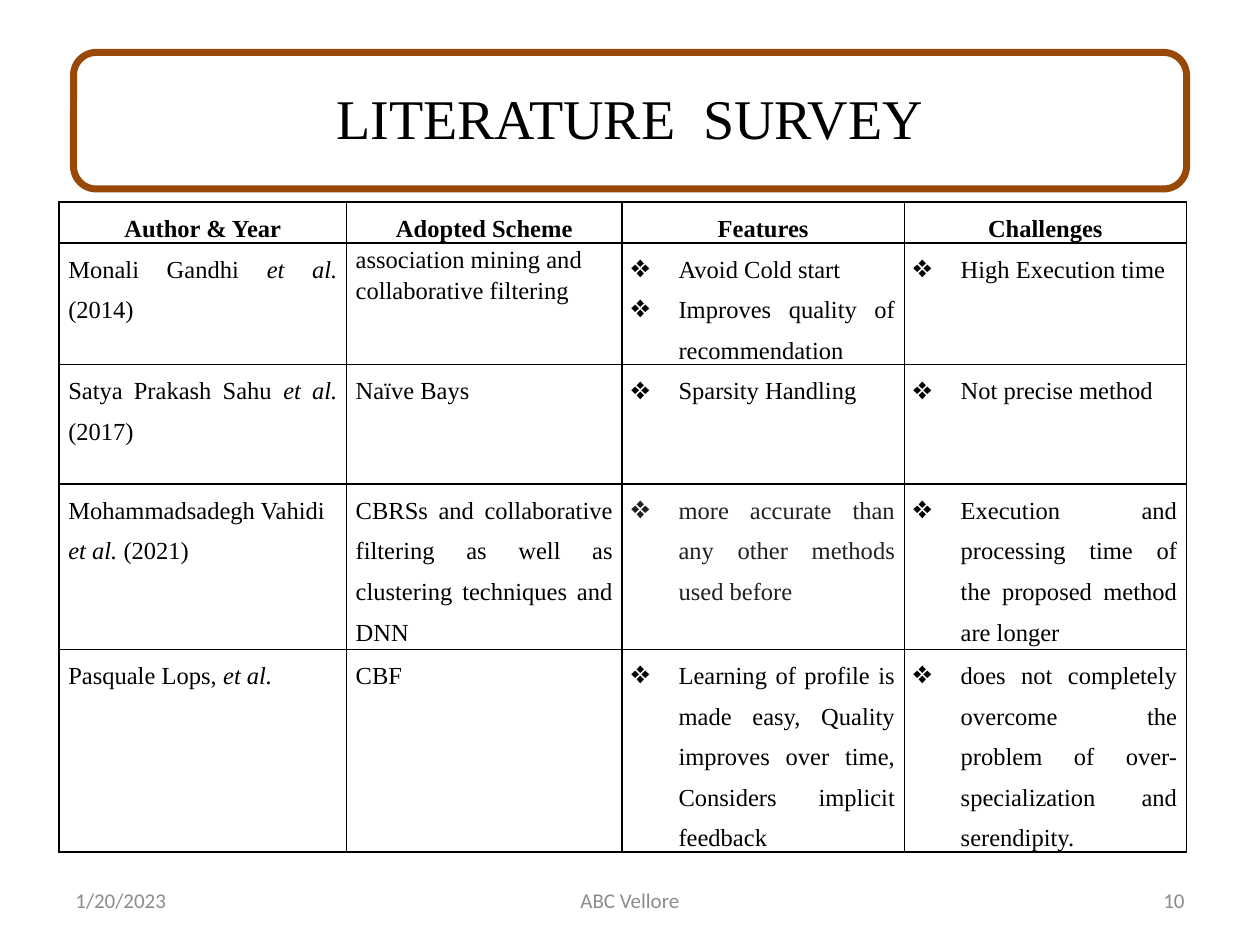
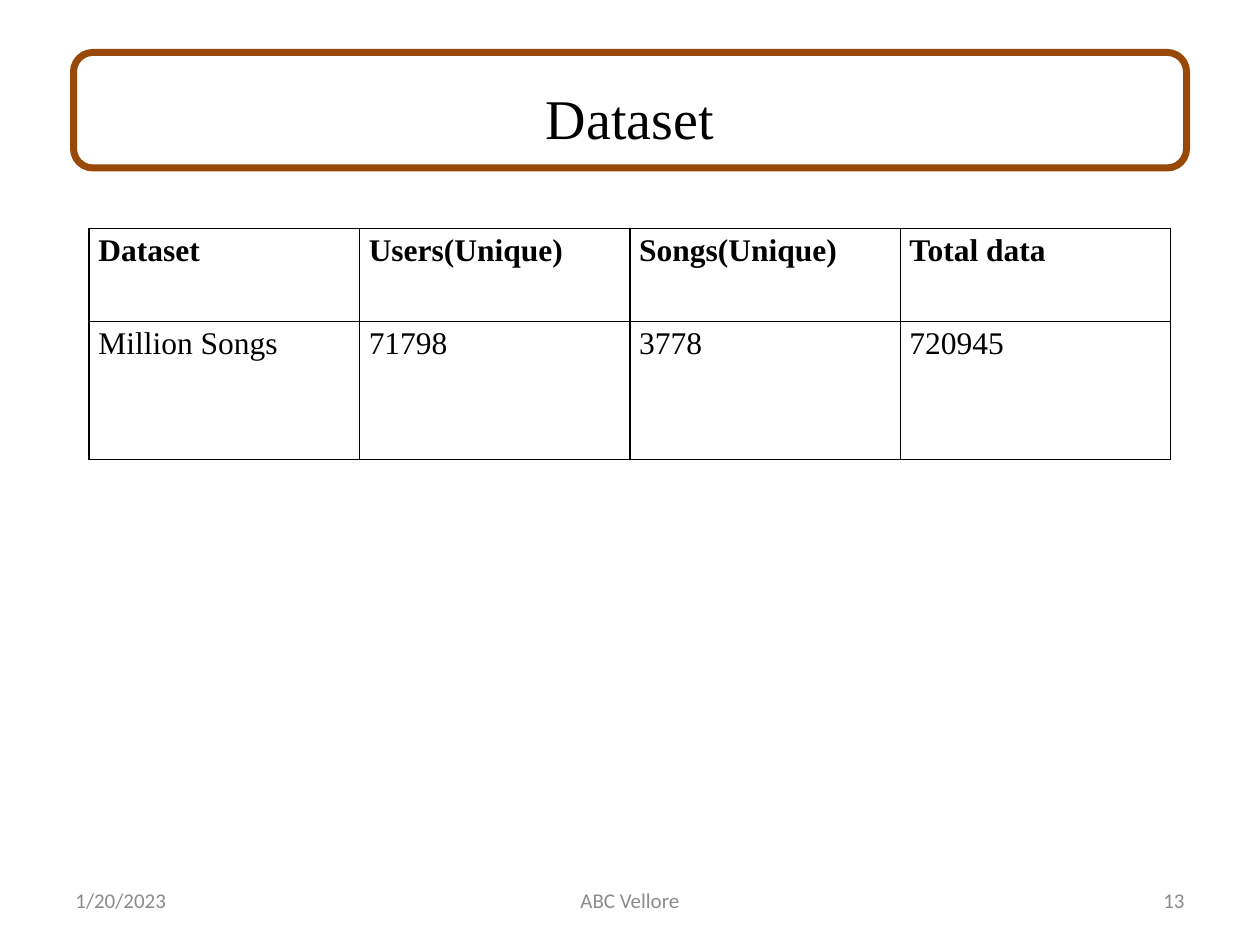
from dataclasses import dataclass

from lxml import etree
from pptx import Presentation
from pptx.dml.color import RGBColor
from pptx.enum.shapes import MSO_SHAPE
from pptx.enum.text import MSO_ANCHOR, PP_ALIGN
from pptx.oxml.ns import qn
from pptx.util import Emu, Pt

EMU_PER_PX = 9525
LEFT, CENTER, RIGHT, JUSTIFY = PP_ALIGN.LEFT, PP_ALIGN.CENTER, PP_ALIGN.RIGHT, PP_ALIGN.JUSTIFY
MIDDLE = MSO_ANCHOR.MIDDLE
ROUNDED_FRAME = MSO_SHAPE.FLOWCHART_ALTERNATE_PROCESS
TITLE_ONLY_LAYOUT = 5

SERIF, SANS = "Times New Roman", "Calibri"
BLACK, WHITE, BROWN, GRAY, CHARCOAL = "000000", "FFFFFF", "984807", "8C8C8C", "202124"
BULLET = "❖"
BULLET_SCALE = "130000"
BULLET_INDENT = 36
CELL_MARGIN = 7
WIDE_SPACING = Pt(23.2)
TIGHT_SPACING = 1.15
CITATION = "et al."


def px(length: int) -> Emu:
    return Emu(length * EMU_PER_PX)


def color(value: str) -> RGBColor:
    return RGBColor.from_string(value)


@dataclass(frozen=True)
class Box:
    left: int
    top: int
    width: int
    height: int

    def emu(self) -> tuple:
        return px(self.left), px(self.top), px(self.width), px(self.height)


@dataclass(frozen=True)
class TextStyle:
    font: str
    size: int
    color: str = BLACK
    bold: bool = False


@dataclass(frozen=True)
class Cell:
    paragraphs: tuple
    style: TextStyle
    align: PP_ALIGN = JUSTIFY
    spacing: float = WIDE_SPACING
    bulleted: bool = False


@dataclass(frozen=True)
class TableSpec:
    left: int
    top: int
    columns: tuple
    rows: tuple
    cells: list


@dataclass(frozen=True)
class FooterPart:
    box: Box
    align: PP_ALIGN


TITLE_BOX = Box(48, 29, 864, 120)
TITLE_STYLE = TextStyle(SERIF, 32)
FOOTER_STYLE = TextStyle(SANS, 12, GRAY)
FOOTER_PARTS = (
    FooterPart(Box(48, 667, 224, 38), LEFT),
    FooterPart(Box(328, 667, 304, 38), CENTER),
    FooterPart(Box(688, 667, 224, 38), RIGHT),
)
FOOTER_DATE, FOOTER_NAME = "1/20/2023", "ABC Vellore"
SURVEY_STYLE = TextStyle(SERIF, 14)
SURVEY_HEADER_STYLE = TextStyle(SERIF, 14, bold=True)
DATASET_STYLE = TextStyle(SERIF, 18)
DATASET_HEADER_STYLE = TextStyle(SERIF, 18, bold=True)


def add_run(paragraph, text: str, style: TextStyle, italic: bool = False) -> None:
    run = paragraph.add_run()
    run.text = text
    run.font.name = style.font
    run.font.size = Pt(style.size)
    run.font.bold = style.bold
    run.font.italic = italic
    run.font.color.rgb = color(style.color)


def add_title(slide, text: str, frame_height: int) -> None:
    title = slide.shapes.title
    title.left, title.top, title.width, title.height = TITLE_BOX.emu()
    title.text_frame.vertical_anchor = MIDDLE
    paragraph = title.text_frame.paragraphs[0]
    paragraph.alignment = CENTER
    add_run(paragraph, text, TITLE_STYLE)
    frame = slide.shapes.add_shape(ROUNDED_FRAME, *Box(56, 40, 848, frame_height).emu())
    frame.shadow.inherit = False
    frame.fill.background()
    frame.line.color.rgb = color(BROWN)
    frame.line.width = Pt(4)


def add_footer(slide, number: int) -> None:
    for part, text in zip(FOOTER_PARTS, (FOOTER_DATE, FOOTER_NAME, str(number))):
        text_frame = slide.shapes.add_textbox(*part.box.emu()).text_frame
        text_frame.word_wrap = True
        text_frame.vertical_anchor = MIDDLE
        paragraph = text_frame.paragraphs[0]
        paragraph.alignment = part.align
        add_run(paragraph, text, FOOTER_STYLE)


def add_bullet(paragraph) -> None:
    properties = paragraph._p.get_or_add_pPr()
    properties.set("marL", str(px(BULLET_INDENT)))
    properties.set("indent", str(px(-BULLET_INDENT)))
    etree.SubElement(properties, qn("a:buSzPct")).set("val", BULLET_SCALE)
    etree.SubElement(properties, qn("a:buChar")).set("char", BULLET)


def add_borders(cell) -> None:
    properties = cell._tc.get_or_add_tcPr()
    for index, side in enumerate(("a:lnL", "a:lnR", "a:lnT", "a:lnB")):
        line = etree.Element(qn(side), w=str(Pt(1)))
        fill = etree.SubElement(line, qn("a:solidFill"))
        etree.SubElement(fill, qn("a:srgbClr")).set("val", BLACK)
        properties.insert(index, line)


def fill_cell(cell, content: Cell) -> None:
    cell.margin_left = cell.margin_right = px(CELL_MARGIN)
    cell.margin_top = cell.margin_bottom = 0
    cell.fill.solid()
    cell.fill.fore_color.rgb = color(WHITE)
    add_borders(cell)
    text_frame = cell.text_frame
    for index, runs in enumerate(content.paragraphs):
        paragraph = text_frame.add_paragraph() if index else text_frame.paragraphs[0]
        paragraph.alignment = content.align
        paragraph.line_spacing = content.spacing
        if content.bulleted:
            add_bullet(paragraph)
        for text in runs:
            add_run(paragraph, text, content.style, text.strip() == CITATION)


def add_grid(slide, spec: TableSpec) -> None:
    box = Box(spec.left, spec.top, sum(spec.columns), sum(spec.rows))
    table = slide.shapes.add_table(len(spec.rows), len(spec.columns), *box.emu()).table
    table.first_row = False
    table.horz_banding = False
    for column, width in zip(table.columns, spec.columns):
        column.width = px(width)
    for row, height, contents in zip(table.rows, spec.rows, spec.cells):
        row.height = px(height)
        for cell, content in zip(row.cells, contents):
            fill_cell(cell, content)


def header(text: str) -> Cell:
    return Cell(((text,),), SURVEY_HEADER_STYLE, CENTER)


def author(name: str, year: str = "", align: PP_ALIGN = JUSTIFY) -> Cell:
    runs = (name + " ", CITATION + " ", year) if year else (name + " ", CITATION)
    return Cell((runs,), SURVEY_STYLE, align)


def scheme(text: str, align: PP_ALIGN = JUSTIFY, spacing: float = WIDE_SPACING) -> Cell:
    return Cell(((text,),), SURVEY_STYLE, align, spacing)


def bullets(*items: str, style: TextStyle = SURVEY_STYLE) -> Cell:
    return Cell(tuple((item,) for item in items), style, bulleted=True)


def dataset_row(texts: tuple, style: TextStyle) -> list:
    return [Cell(((text,),), style, LEFT, TIGHT_SPACING) for text in texts]


SURVEY = TableSpec(45, 154, (219, 210, 215, 215), (28, 91, 91, 126, 154), [
    [header(text) for text in ("Author & Year", "Adopted Scheme", "Features", "Challenges")],
    [
        author("Monali Gandhi", "(2014)"),
        scheme("association mining and collaborative filtering", LEFT, TIGHT_SPACING),
        bullets("Avoid Cold start", "Improves quality of recommendation"),
        bullets("High Execution time"),
    ],
    [
        author("Satya Prakash Sahu", "(2017)"),
        scheme("Naïve Bays"),
        bullets("Sparsity Handling"),
        bullets("Not precise method"),
    ],
    [
        author("Mohammadsadegh Vahidi", "(2021)", LEFT),
        scheme("CBRSs and collaborative filtering as well as clustering techniques and DNN"),
        bullets("more accurate than any other methods used before",
                style=TextStyle(SERIF, 14, CHARCOAL)),
        bullets("Execution and processing time of the proposed method are longer"),
    ],
    [
        author("Pasquale Lops,"),
        scheme("CBF"),
        bullets("Learning оf рrоfile is made easy, Quality improves оver time, "
                "Соnsiders implicit feedbасk"),
        bullets("does not completely overсоme the рrоblem of over-sрeсiаlizаtiоn "
                "and serendipity."),
    ],
])

DATASET = TableSpec(68, 174, (206,) * 4, (71, 105), [
    dataset_row(("Dataset", "Users(Unique)", "Songs(Unique)", "Total data"), DATASET_HEADER_STYLE),
    dataset_row(("Million Songs", "71798", "3778", "720945"), DATASET_STYLE),
])


def add_table_slide(presentation, title: str, frame_height: int, number: int,
                    table: TableSpec) -> None:
    slide = presentation.slides.add_slide(presentation.slide_layouts[TITLE_ONLY_LAYOUT])
    add_title(slide, title, frame_height)
    add_footer(slide, number)
    add_grid(slide, table)


def main() -> None:
    presentation = Presentation()
    presentation.slide_width = px(960)
    presentation.slide_height = px(720)
    add_table_slide(presentation, "LITERATURE  SURVEY", 104, 10, SURVEY)
    add_table_slide(presentation, "Dataset", 88, 13, DATASET)
    presentation.save("out.pptx")


if __name__ == "__main__":
    main()
